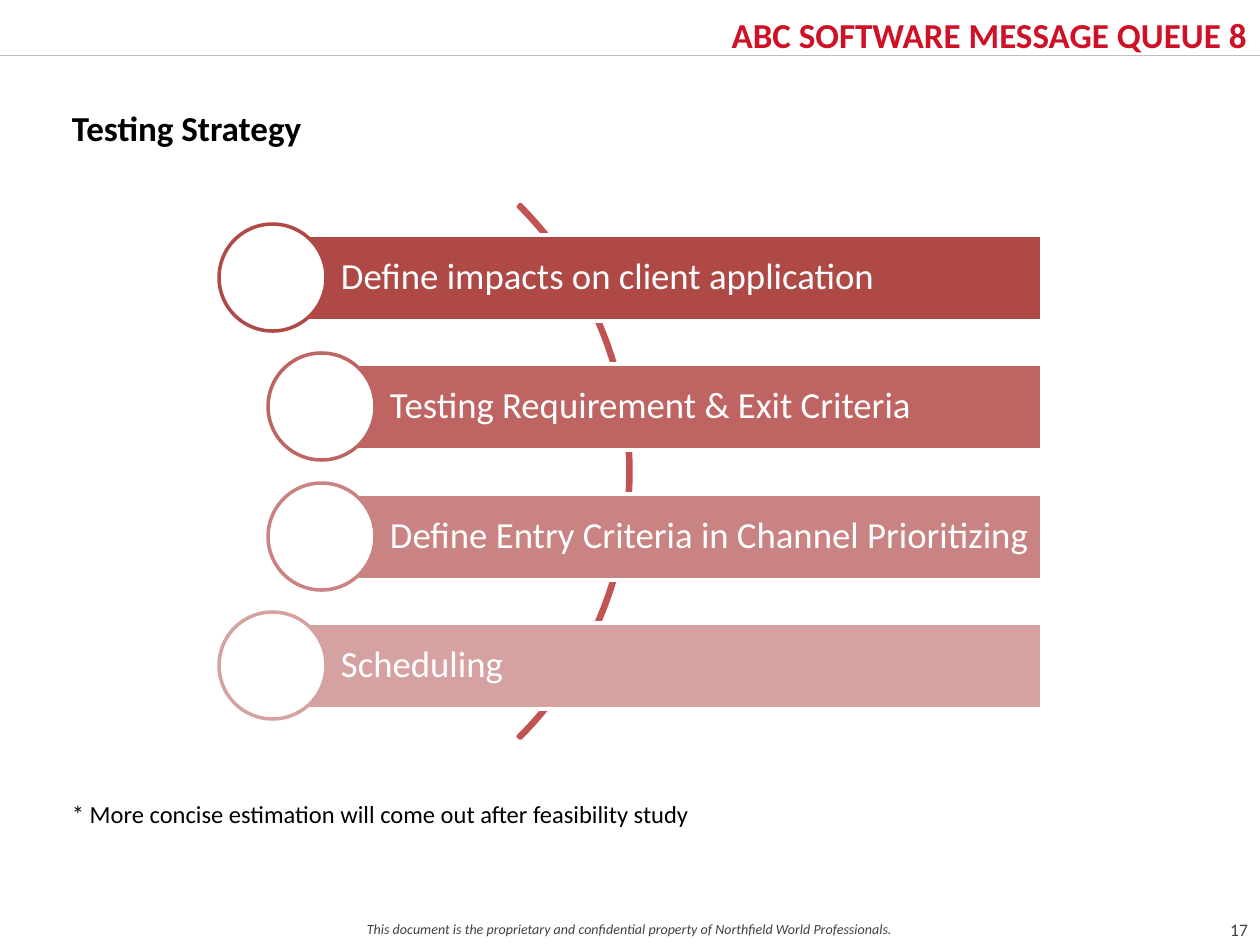
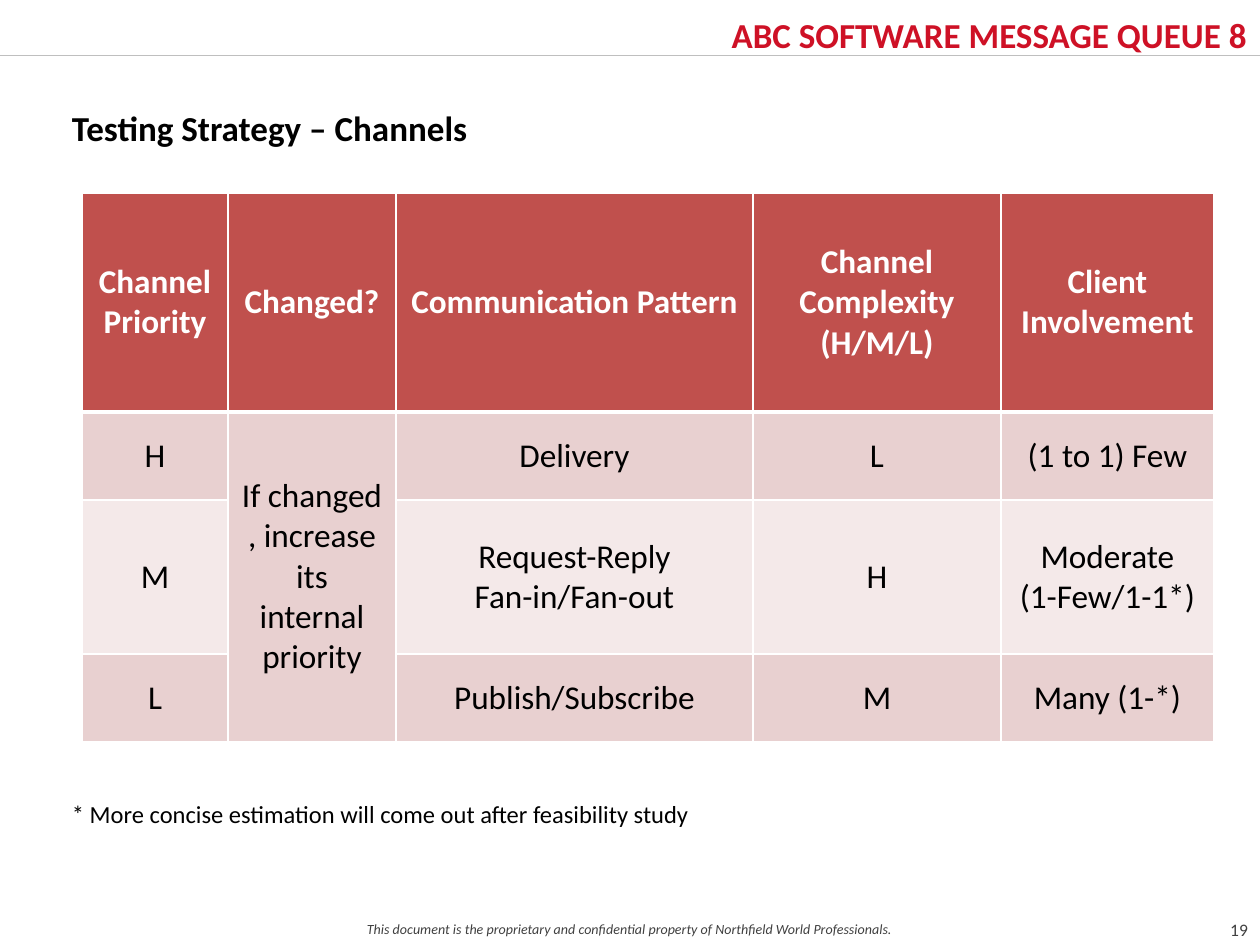
from lxml import etree
from pptx import Presentation
from pptx import util as u
from pptx.dml.color import RGBColor
from pptx.enum import shapes, text
from pptx.oxml import ns

FONT = "Calibri"
BLACK = RGBColor(0x00, 0x00, 0x00)
WHITE = RGBColor(0xFF, 0xFF, 0xFF)
CRIMSON = RGBColor(0xCE, 0x11, 0x26)
DARK_GREY = RGBColor(0x40, 0x40, 0x40)
RULE_GREY = RGBColor(0xBF, 0xBF, 0xBF)
ARC_RED = RGBColor(0xC1, 0x54, 0x52)
HEAD_RED = RGBColor(0xC0, 0x50, 0x4D)
ROW_DARK = RGBColor(0xE8, 0xD0, 0xD0)
ROW_LIGHT = RGBColor(0xF4, 0xE9, 0xE9)
STEP_COLOURS = [
    RGBColor(0xAE, 0x49, 0x46),
    RGBColor(0xBE, 0x64, 0x62),
    RGBColor(0xC9, 0x83, 0x82),
    RGBColor(0xD6, 0xA2, 0xA1),
]

PX_PER_INCH = 126
PAGE_WIDTH, PAGE_HEIGHT = 1260, 945
HEADER = "ABC SOFTWARE MESSAGE QUEUE 8"
FOOTER = "This document is the proprietary and confidential property of Northfield World Professionals."
FOOTNOTE = "* More concise estimation will come out after feasibility study"
LEFT, CENTER, RIGHT = text.PP_ALIGN.LEFT, text.PP_ALIGN.CENTER, text.PP_ALIGN.RIGHT
JUSTIFY = text.PP_ALIGN.JUSTIFY
TOP, MIDDLE = text.MSO_ANCHOR.TOP, text.MSO_ANCHOR.MIDDLE

STEPS = [
    "Define impacts on client application",
    "Testing Requirement & Exit Criteria",
    "Define Entry Criteria in Channel Prioritizing",
    "Scheduling",
]
CHANNELS = [
    ["Channel Priority", "Changed?", "Communication Pattern",
     "Channel Complexity\n(H/M/L)", "Client Involvement"],
    ["H", "If changed , increase its internal priority", "Delivery", "L", "(1 to 1) Few"],
    ["M", "", "Request-Reply\nFan-in/Fan-out", "H", "Moderate\n(1-Few/1-1*)"],
    ["L", "", "Publish/Subscribe", "M", "Many (1-*)"],
]


def px(length):
    return u.Emu(round(length * 914400 / PX_PER_INCH))


def place(*lengths):
    return [px(length) for length in lengths]


def write(frame, words, size, colour, align=LEFT, bold=False, italic=False):
    for index, line in enumerate(words.split("\n")):
        para = frame.add_paragraph() if index else frame.paragraphs[0]
        para.alignment = align
        span = para.add_run()
        span.text = line
        span.font.name = FONT
        span.font.size = u.Pt(size)
        span.font.bold = bold
        span.font.italic = italic
        span.font.color.rgb = colour


def set_frame(frame, anchor=TOP, insets=(13, 6, 13, 6)):
    frame.word_wrap = True
    frame.auto_size = text.MSO_AUTO_SIZE.NONE
    frame.vertical_anchor = anchor
    (frame.margin_left, frame.margin_top,
     frame.margin_right, frame.margin_bottom) = place(*insets)


def add_label(page, box, words, size, colour, align, anchor=TOP,
              insets=(13, 6, 13, 6), **style):
    frame = page.shapes.add_textbox(*place(*box)).text_frame
    set_frame(frame, anchor, insets)
    write(frame, words, size, colour, align, **style)


def add_outlined(page, kind, box, line, fill=None):
    shape = page.shapes.add_shape(kind, *place(*box))
    shape.shadow.inherit = False
    if fill is None:
        shape.fill.background()
    else:
        shape.fill.solid()
        shape.fill.fore_color.rgb = fill
    shape.line.color.rgb = line
    shape.line.width = u.Pt(2)
    return shape


def add_page(deck, heading, number):
    page = deck.slides.add_slide(deck.slide_layouts[5])
    add_label(page, (0, 915, PAGE_WIDTH, 30), FOOTER, 8, DARK_GREY, CENTER, italic=True)
    add_label(page, (1210, 902, 58, 54), number, 10, DARK_GREY, CENTER, MIDDLE)
    rule = page.shapes.add_connector(
        shapes.MSO_CONNECTOR.STRAIGHT, *place(0, 55, PAGE_WIDTH, 55))
    rule.line.color.rgb = RULE_GREY
    rule.line.width = u.Pt(0.5)
    etree.SubElement(rule._element.spPr, ns.qn("a:effectLst"))
    add_label(page, (505, 3, 755, 53), HEADER, 20, CRIMSON, RIGHT,
              insets=(0, 11, 13, 9), bold=True)
    title = page.shapes.title
    title.left, title.top, title.width, title.height = place(59, 100, 1137, 55)
    set_frame(title.text_frame)
    write(title.text_frame, heading, 20, BLACK, JUSTIFY, bold=True)
    add_label(page, (59, 793, 1137, 43), FOOTNOTE, 14, BLACK, JUSTIFY)
    return page


def add_steps(page, box):
    left, top, width, height = box
    bar_height, circle, bulge = 86, 107, 49
    arc_size = 755
    arc = add_outlined(page, shapes.MSO_SHAPE.BLOCK_ARC,
                       (left + 412 - arc_size, top + (height - arc_size) // 2,
                        arc_size, arc_size), ARC_RED)
    for index, value in enumerate((189, 27, 0.004)):
        arc.adjustments[index] = value
    pitch = (height - circle) / (len(STEPS) - 1)
    for index, (step, colour) in enumerate(zip(STEPS, STEP_COLOURS)):
        inner = 0 < index < len(STEPS) - 1
        circle_left = left + (bulge if inner else 0)
        circle_top = top + round(index * pitch)
        bar_left = circle_left + circle // 2 + 1
        bar = add_outlined(
            page, shapes.MSO_SHAPE.RECTANGLE,
            (bar_left, circle_top + (circle - bar_height) // 2 + 1,
             left + width - bar_left, bar_height), WHITE, colour)
        set_frame(bar.text_frame, MIDDLE, (68, 8, 8, 8))
        write(bar.text_frame, step, 21, WHITE)
        bar.text_frame.paragraphs[0].line_spacing = 0.9
        add_outlined(page, shapes.MSO_SHAPE.OVAL,
                     (circle_left, circle_top, circle, circle), colour, WHITE)


def add_borders(cell, bottom):
    props = cell._tc.get_or_add_tcPr()
    for side, points in (("L", 1), ("R", 1), ("T", 1), ("B", bottom)):
        line = etree.SubElement(props, ns.qn("a:ln" + side), w=str(u.Pt(points)))
        fill = etree.SubElement(line, ns.qn("a:solidFill"))
        etree.SubElement(fill, ns.qn("a:srgbClr"), val=str(WHITE))


def add_channels(page, left, top):
    widths, heights = (146, 168, 357, 248, 213), (219, 88, 154, 88)
    table = page.shapes.add_table(
        len(heights), len(widths),
        *place(left, top, sum(widths), sum(heights))).table
    table.horz_banding = False
    for column, width in zip(table.columns, widths):
        column.width = px(width)
    for row, height in zip(table.rows, heights):
        row.height = px(height)
    table.cell(1, 1).merge(table.cell(3, 1))
    for r, row in enumerate(CHANNELS):
        header = r == 0
        for c, words in enumerate(row):
            cell = table.cell(r, c)
            add_borders(cell, 3 if header else 1)
            cell.fill.solid()
            cell.fill.fore_color.rgb = HEAD_RED if header else (ROW_DARK if r % 2 else ROW_LIGHT)
            cell.vertical_anchor = MIDDLE
            if words:
                write(cell.text_frame, words, 19, WHITE if header else BLACK,
                      CENTER, bold=header)


def main():
    deck = Presentation()
    deck.slide_width, deck.slide_height = place(PAGE_WIDTH, PAGE_HEIGHT)
    add_steps(add_page(deck, "Testing Strategy", "17"), (219, 224, 823, 495))
    add_channels(add_page(deck, "Testing Strategy – Channels", "19"), 82, 193)
    deck.save("out.pptx")


if __name__ == "__main__":
    main()
